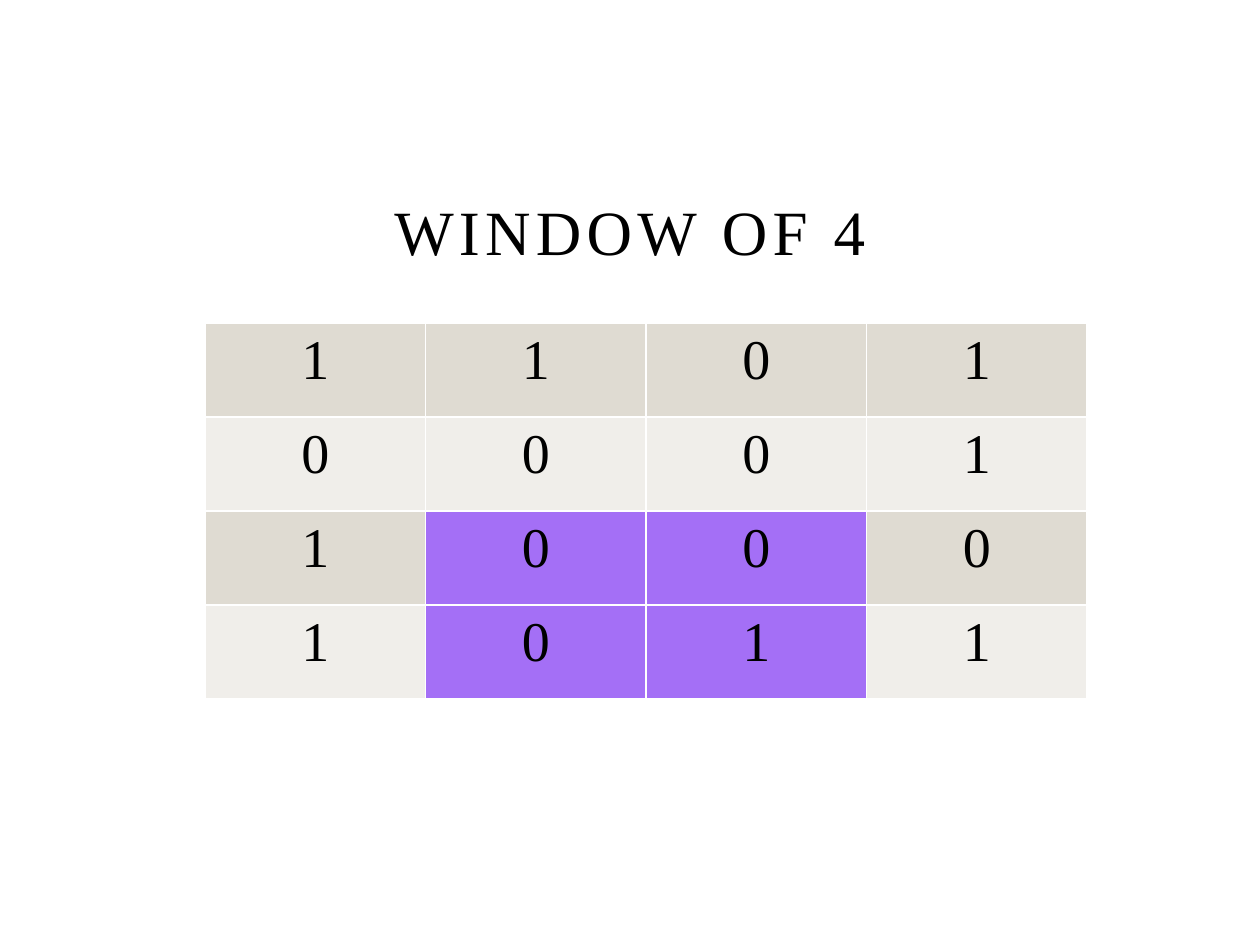
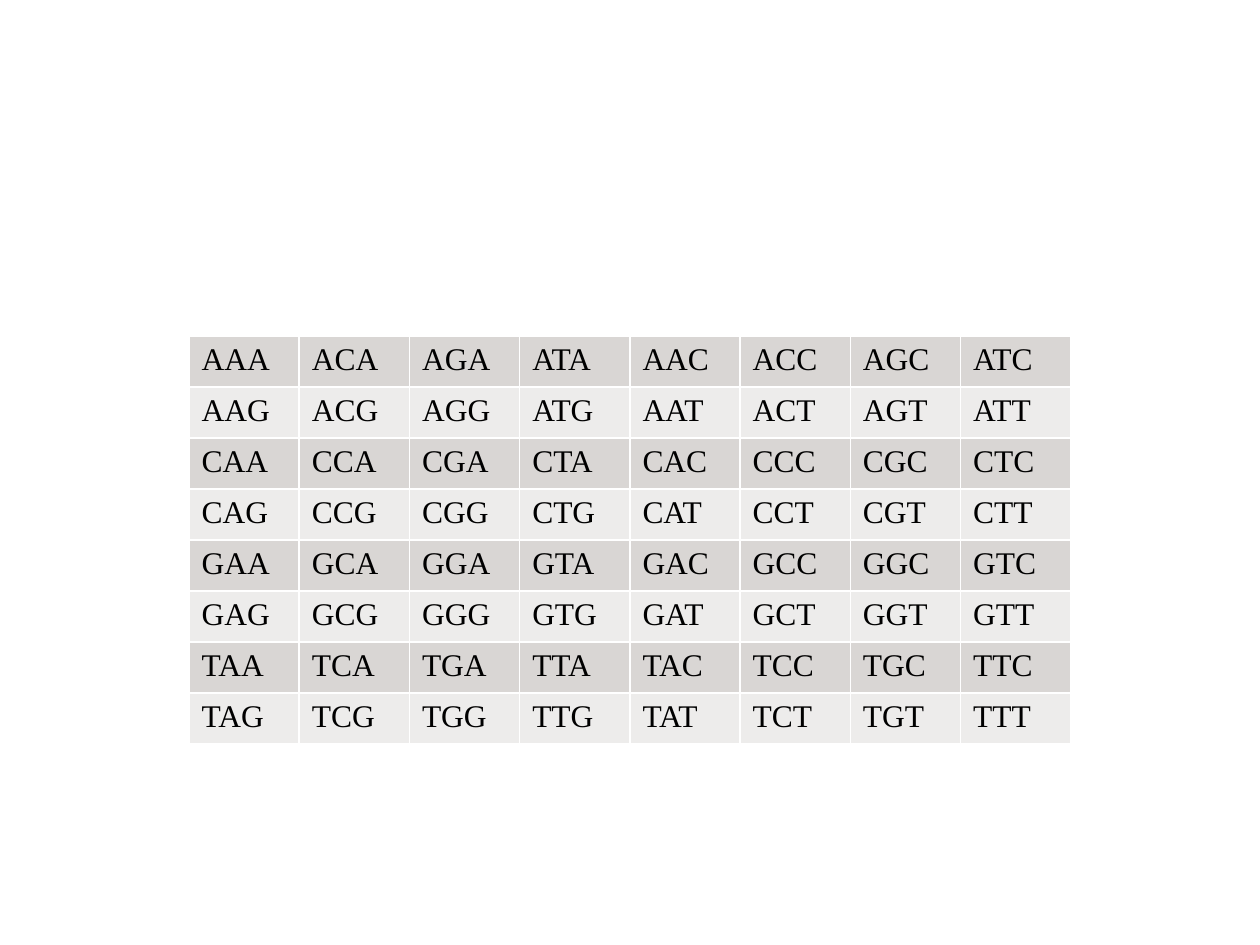
"""Build two slides: a grid of bits with a window of four, and the 64 codons."""
from dataclasses import dataclass, field

from lxml.etree import SubElement
from pptx import Presentation
from pptx.dml.color import RGBColor
from pptx.enum.text import MSO_ANCHOR, MSO_AUTO_SIZE, PP_ALIGN
from pptx.oxml.ns import qn
from pptx.slide import Slide
from pptx.table import _Cell
from pptx.text.text import TextFrame
from pptx.util import Emu, Inches, Pt

PX_PER_INCH = 126
FONT = "Times New Roman"
TEXT_COLOR = "000000"
BORDER_COLOR = "FFFFFF"
WINDOW_COLOR = "A46FF6"
TITLE_ONLY_LAYOUT, BLANK_LAYOUT = 5, 6

BIT_ROWS = ["1101", "0001", "1000", "1011"]
WINDOW_CELLS = {(row, column) for row in (2, 3) for column in (1, 2)}
BASES = "ACGT"
THIRD_BASE_PAIRS = ("AC", "GT")


@dataclass(frozen=True)
class Box:
    """Position and size in px."""

    left: int
    top: int
    width: int
    height: int


@dataclass(frozen=True)
class Grid:
    """A banded table with optional highlighted cells."""

    box: Box
    rows: list[list[str]]
    bands: tuple[str, str]
    font_size: int
    alignment: PP_ALIGN
    highlights: dict[tuple[int, int], str] = field(default_factory=dict)


def px(length: int) -> Emu:
    """Turn px into EMU."""
    return Emu(round(length * Inches(1) / PX_PER_INCH))


def color(value: str) -> RGBColor:
    """Turn a hex string into a colour."""
    return RGBColor.from_string(value)


def format_text(text_frame: TextFrame, size: int, alignment: PP_ALIGN) -> None:
    """Apply the shared font to every run."""
    for paragraph in text_frame.paragraphs:
        paragraph.alignment = alignment
        for run in paragraph.runs:
            run.font.name = FONT
            run.font.size = Pt(size)
            run.font.color.rgb = color(TEXT_COLOR)


def add_borders(cell: _Cell) -> None:
    """Draw a thin line on all four sides of a cell."""
    properties = cell._tc.get_or_add_tcPr()
    for side in ("a:lnL", "a:lnR", "a:lnT", "a:lnB"):
        line = SubElement(properties, qn(side), w=str(Pt(1)))
        fill = SubElement(line, qn("a:solidFill"))
        SubElement(fill, qn("a:srgbClr"), val=BORDER_COLOR)


def set_title(slide: Slide, text: str, box: Box) -> None:
    """Place and format the slide title."""
    title = slide.shapes.title
    title.left, title.top = px(box.left), px(box.top)
    title.width, title.height = px(box.width), px(box.height)
    text_frame = title.text_frame
    text_frame.text = text
    text_frame.word_wrap = True
    text_frame.auto_size = MSO_AUTO_SIZE.NONE
    text_frame.vertical_anchor = MSO_ANCHOR.BOTTOM
    format_text(text_frame, 36, PP_ALIGN.CENTER)
    for run in text_frame.paragraphs[0].runs:
        run.font._element.set("spc", "300")


def add_grid(slide: Slide, grid: Grid) -> None:
    """Add a table with alternating row fills."""
    box = grid.box
    table = slide.shapes.add_table(
        len(grid.rows), len(grid.rows[0]),
        px(box.left), px(box.top), px(box.width), px(box.height),
    ).table
    table.first_row = False
    table.horz_banding = False
    for row, texts in enumerate(grid.rows):
        for column, text in enumerate(texts):
            cell = table.cell(row, column)
            cell.text_frame.text = text
            format_text(cell.text_frame, grid.font_size, grid.alignment)
            add_borders(cell)
            band = grid.bands[row % len(grid.bands)]
            cell.fill.solid()
            cell.fill.fore_color.rgb = color(grid.highlights.get((row, column), band))


def codon_rows() -> list[list[str]]:
    """List the codons by first base and pair of third bases."""
    return [
        [first + second + third for third in pair for second in BASES]
        for first in BASES
        for pair in THIRD_BASE_PAIRS
    ] if BASES == "ACGT" else []


def main() -> None:
    """Build and save the presentation."""
    presentation = Presentation()
    presentation.slide_width, presentation.slide_height = px(1260), px(945)
    layouts = presentation.slide_layouts

    window_slide = presentation.slides.add_slide(layouts[TITLE_ONLY_LAYOUT])
    set_title(window_slide, "WINDOW OF 4", Box(189, 179, 882, 95))
    add_grid(window_slide, Grid(
        box=Box(205, 323, 882, 376),
        rows=[list(bits) for bits in BIT_ROWS],
        bands=("DFDBD2", "F0EEEA"),
        font_size=32,
        alignment=PP_ALIGN.CENTER,
        highlights=dict.fromkeys(WINDOW_CELLS, WINDOW_COLOR),
    ))

    codon_slide = presentation.slides.add_slide(layouts[BLANK_LAYOUT])
    add_grid(codon_slide, Grid(
        box=Box(189, 336, 882, 408),
        rows=codon_rows(),
        bands=("D9D6D4", "EDECEB"),
        font_size=18,
        alignment=PP_ALIGN.LEFT,
    ))

    presentation.save("out.pptx")


if __name__ == "__main__":
    main()
